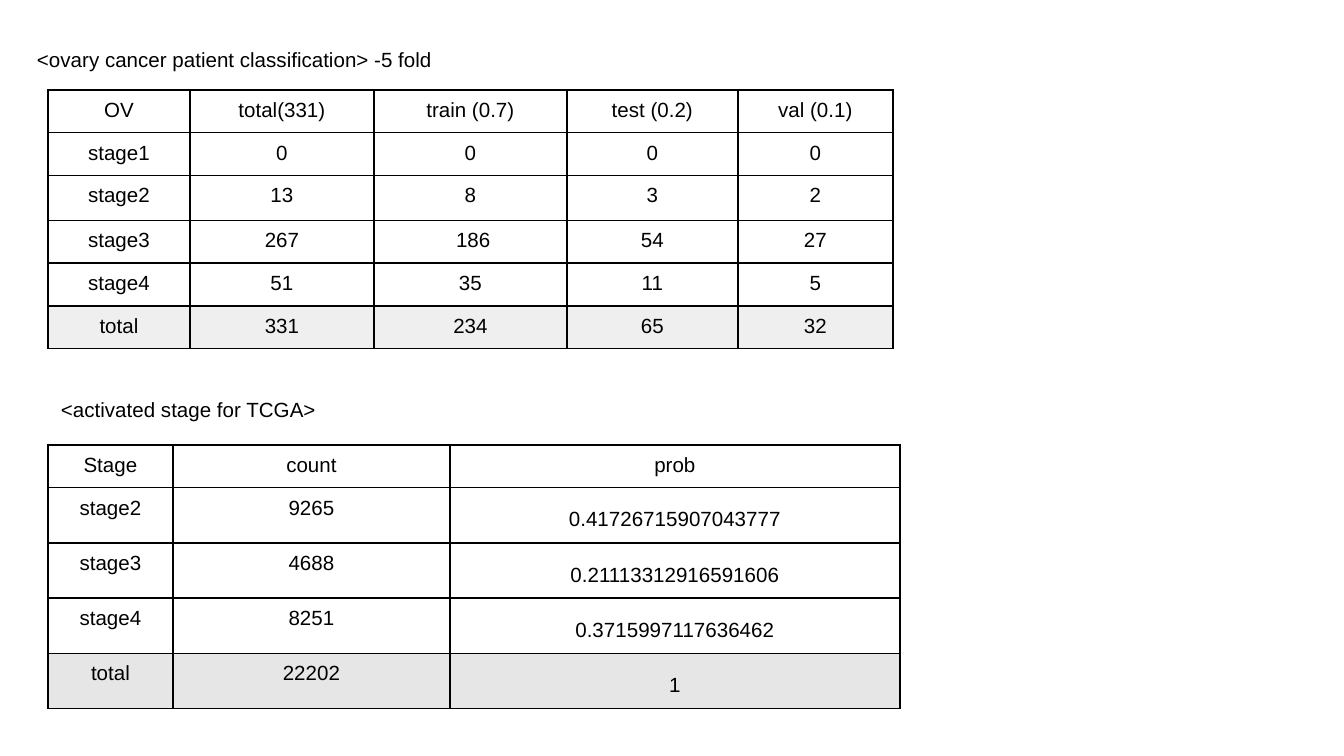
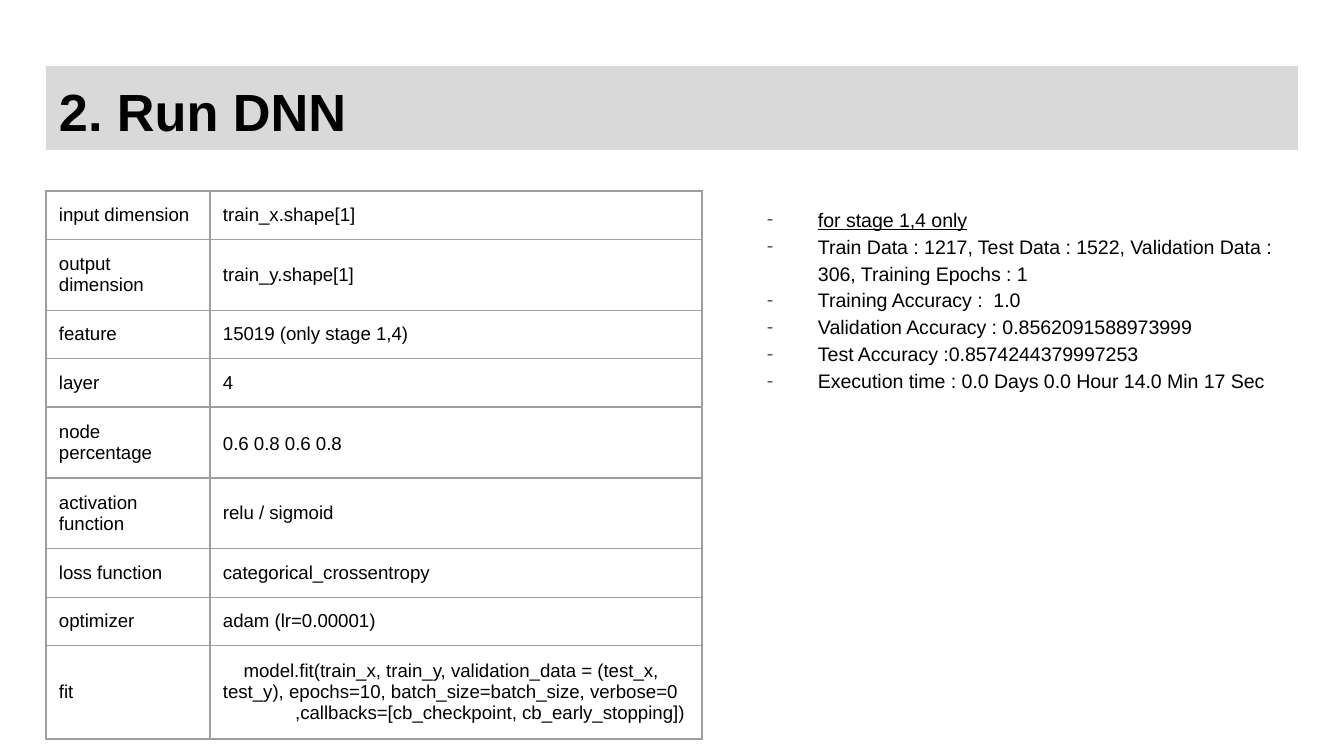
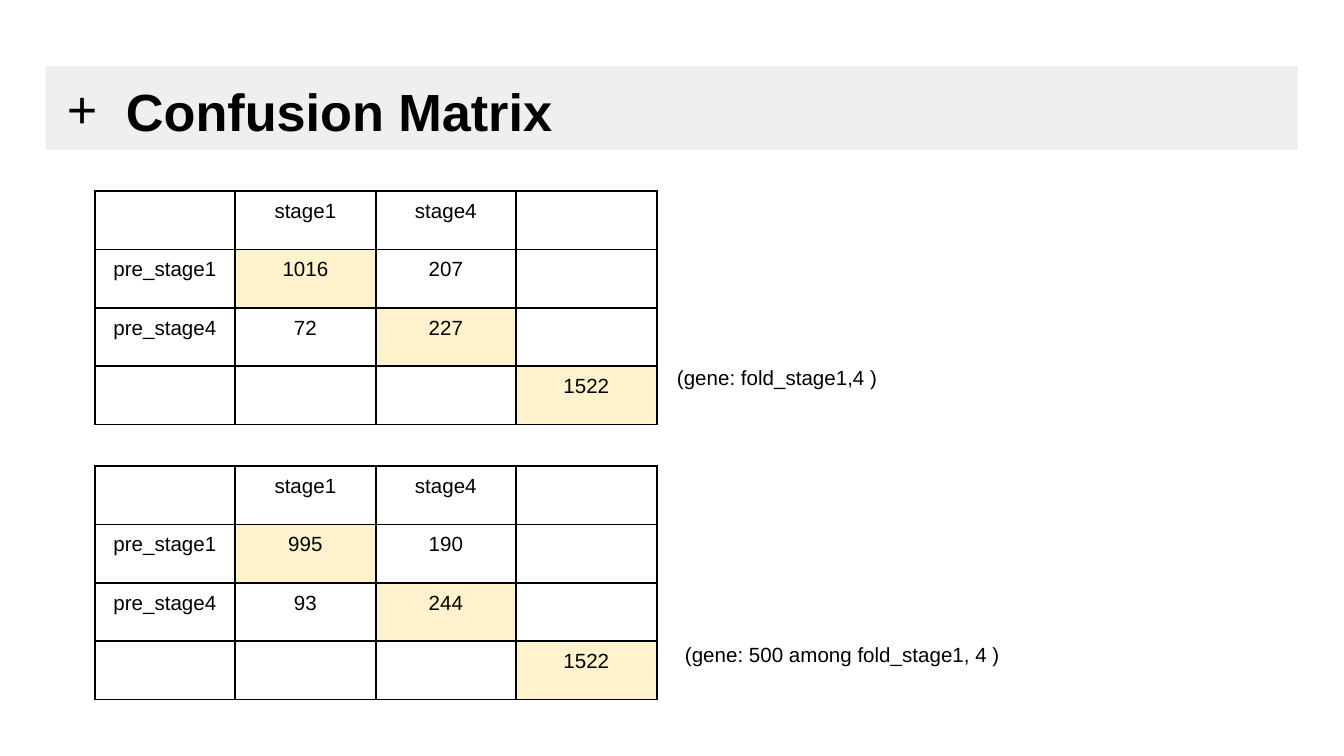
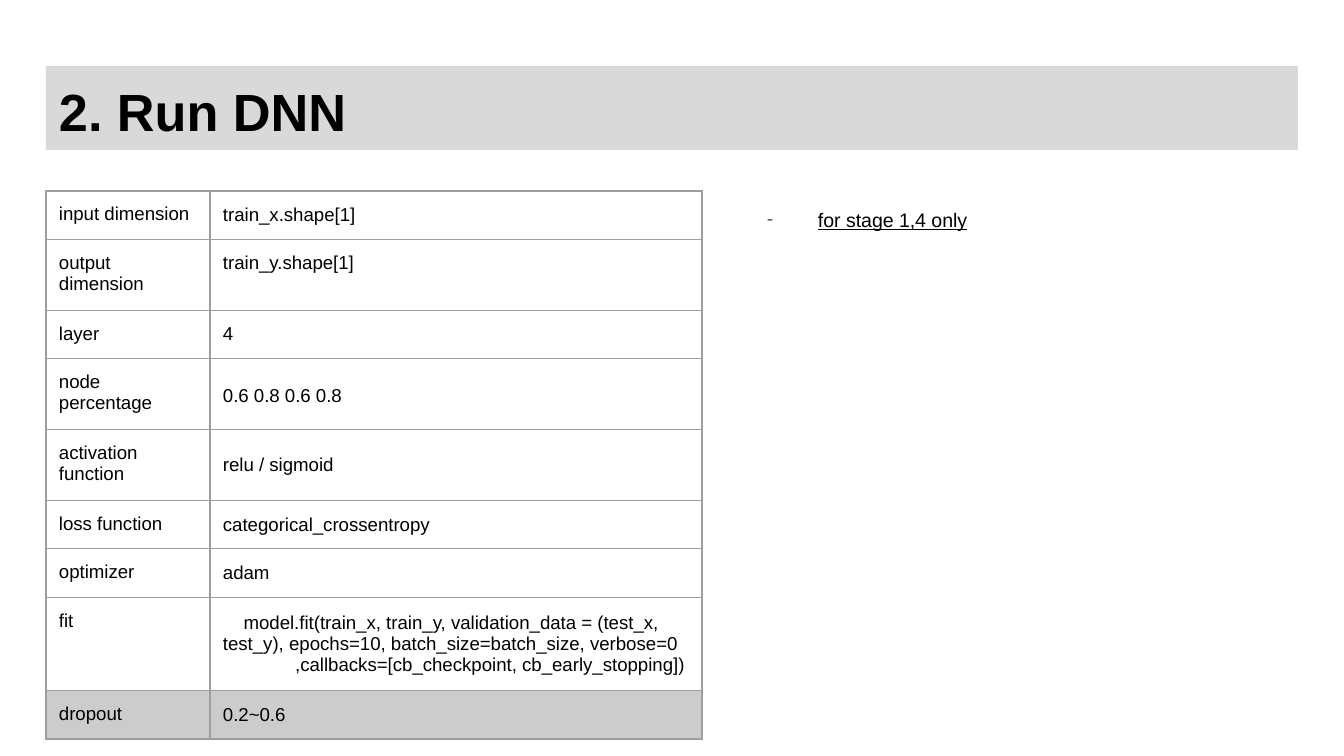
from dataclasses import dataclass

from lxml import etree
from pptx import Presentation
from pptx.dml.color import RGBColor
from pptx.enum import shapes, text
from pptx.oxml import ns
from pptx.util import Emu, Inches, Pt

WIDE, HIGH = 1344, 756
SCALE = Inches(10) / WIDE


def px(n):
    return Emu(round(n * SCALE))


@dataclass(frozen=True)
class Theme:
    font: str = "Arial"
    ink: str = "000000"
    dash: str = "595959"
    rule: str = "9E9E9E"
    band: str = "D9D9D9"
    pale: str = "EFEFEF"
    total: str = "E6E6E6"
    drop: str = "CCCCCC"
    hit: str = "FFF2CC"
    title: float = 28
    body: float = 11
    list: float = 10.5
    small: float = 10
    lead: float = 1.15
    loose: float = 1.51
    inset: int = 13
    tight: int = 9


THEME = Theme()
TOP, MID = text.MSO_ANCHOR.TOP, text.MSO_ANCHOR.MIDDLE


def add(parent, tag, **attrs):
    return etree.SubElement(parent, ns.qn(tag), attrs)


def bullet(para, mark, color, size, indent, hang):
    props = para._p.get_or_add_pPr()
    props.set("marL", str(px(indent)))
    props.set("indent", str(-px(hang)))
    add(add(props, "a:buClr"), "a:srgbClr", val=color)
    add(props, "a:buSzPts", val=str(int(size * 100)))
    add(props, "a:buFont", typeface=THEME.font)
    add(props, "a:buChar", char=mark)


def border(cell, color, width):
    props = cell._tc.get_or_add_tcPr()
    for side in ("a:lnL", "a:lnR", "a:lnT", "a:lnB"):
        line = add(props, side, w=str(Pt(width)))
        add(add(line, "a:solidFill"), "a:srgbClr", val=color)


def paint(fill, color):
    if color:
        fill.solid()
        fill.fore_color.rgb = RGBColor.from_string(color)
    else:
        fill.background()


class Deck:
    def __init__(self, theme):
        self.theme = theme
        self.prs = Presentation()
        self.prs.slide_width, self.prs.slide_height = px(WIDE), px(HIGH)
        self.slide = None

    def page(self):
        self.slide = self.prs.slides.add_slide(self.prs.slide_layouts[6])

    def style(self, para, size, bold=False, lead=None, align=None):
        if lead:
            para.line_spacing = lead
        para.alignment = align
        for run in para.runs:
            run.font.name = self.theme.font
            run.font.size = Pt(size)
            run.font.bold = bold
            run.font.color.rgb = RGBColor.from_string(self.theme.ink)

    def frame(self, shape, words, anchor=TOP):
        box = shape.text_frame
        box.word_wrap = True
        box.vertical_anchor = anchor
        box.margin_left = box.margin_right = px(self.theme.inset)
        box.margin_top = box.margin_bottom = px(self.theme.inset)
        box.text = words
        return box.paragraphs

    def title(self, words, color, mark=None):
        t = self.theme
        band = self.slide.shapes.add_shape(
            shapes.MSO_SHAPE.RECTANGLE, px(46), px(66), px(1252), px(84))
        band.shadow.inherit = False
        paint(band.fill, color)
        band.line.fill.background()
        para = self.frame(band, words)[0]
        if mark:
            bullet(para, mark, t.ink, t.title, 67, 59)
        self.style(para, t.title, bold=True, align=text.PP_ALIGN.LEFT)

    def box(self, x, y, w, h, words, anchor=TOP):
        shape = self.slide.shapes.add_textbox(px(x), px(y), px(w), px(h))
        return self.frame(shape, words, anchor)

    def label(self, x, y, w, words, anchor=TOP):
        para = self.box(x, y, w, 59, words, anchor)[0]
        self.style(para, self.theme.body, lead=self.theme.lead)

    def notes(self, lines):
        """Dashed list at the right, its first line underlined."""
        t = self.theme
        paras = self.box(738, 191, 560, 507, "\n".join(lines))
        for para in paras:
            bullet(para, "-", t.dash, t.list, 67, 51)
            self.style(para, t.list, lead=t.lead)
        paras[0].runs[0].font.underline = True

    def table(self, x, y, cols, heights, rows, size, pad, line, width,
              align=None, fills=None, leads=None, anchors=None):
        """fills, leads and anchors map (row, column) to a value."""
        fills, leads, anchors = fills or {}, leads or {}, anchors or {}
        grid = self.slide.shapes.add_table(
            len(rows), len(cols), px(x), px(y),
            px(sum(cols)), px(sum(heights))).table
        grid.first_row = grid.horz_banding = False
        for col, w in zip(grid.columns, cols):
            col.width = px(w)
        for row, h in zip(grid.rows, heights):
            row.height = px(h)
        for r, row in enumerate(rows):
            for c, words in enumerate(row):
                cell = grid.cell(r, c)
                border(cell, line, width)
                paint(cell.fill, fills.get((r, c)))
                cell.margin_left = cell.margin_right = px(pad)
                cell.margin_top = cell.margin_bottom = px(pad)
                cell.vertical_anchor = anchors.get((r, c), TOP)
                cell.text_frame.text = words
                for para in cell.text_frame.paragraphs:
                    self.style(para, size, lead=leads.get((r, c)), align=align)

    def counts(self, x, y, cols, heights, rows, **maps):
        """Centred table with black rules."""
        t = self.theme
        self.table(x, y, cols, heights, rows, t.body, t.tight, t.ink, 1,
                   align=text.PP_ALIGN.CENTER, **maps)

    def setup(self, heights, rows, **maps):
        """Two-column table of model settings with grey rules."""
        t = self.theme
        nodes = [row[0] for row in rows].index("node percentage")
        self.table(46, 191, [164, 492], heights, rows, t.small, t.inset,
                   t.rule, 0.75, leads={(nodes, 1): t.lead}, **maps)

    def matrix(self, y, first, second, total):
        rows = [["", "stage1", "stage4", ""],
                ["pre_stage1", *first, ""],
                ["pre_stage4", *second, ""],
                ["", "", "", total]]
        self.counts(95, y, [140, 141, 140, 141], [56] * 4, rows,
                    fills={(i, i): self.theme.hit for i in (1, 2, 3)})


IN = ["input dimension", "train_x.shape[1]"]
OUT = ["output dimension", "train_y.shape[1]"]
NET = [["layer", "4"],
       ["node percentage", "0.6 0.8 0.6 0.8"],
       ["activation function", "relu / sigmoid"],
       ["loss function", "categorical_crossentropy"]]
FIT = ["fit",
       "    model.fit(train_x, train_y, validation_data = (test_x, test_y), "
       "epochs=10, batch_size=batch_size, verbose=0\n"
       "              ,callbacks=[cb_checkpoint, cb_early_stopping])"]
SCOPE = "for stage 1,4 only"


def folds(deck):
    t = deck.theme
    deck.page()
    deck.label(48, 378, 441, "<activated stage for TCGA>", MID)
    deck.label(24, 30, 441, "<ovary cancer patient classification> -5 fold")
    deck.counts(
        48, 90, [142, 184, 193, 171, 155], [41, 41, 45, 41, 41, 41],
        [["OV", "total(331)", "train (0.7)", "test (0.2)", "val (0.1)"],
         ["stage1", "0", "0", "0", "0"],
         ["stage2", "13", "8", "3", "2"],
         ["stage3", "267", " 186", "54", "27"],
         ["stage4", "51", "35", "11", "5"],
         ["total", "331", "234", "65", "32"]],
        fills={(5, c): t.pale for c in range(5)})
    deck.counts(
        48, 445, [125, 277, 450], [41] + [53] * 4,
        [["Stage", "count", "prob"],
         ["stage2", "9265", "0.41726715907043777"],
         ["stage3", "4688", "0.21113312916591606"],
         ["stage4", "8251", "0.3715997117636462"],
         ["total", "22202", "1"]],
        fills={(4, c): t.total for c in range(3)},
        leads={(r, 2): t.loose for r in range(1, 5)})


def train(deck):
    deck.page()
    deck.title("2. Run DNN", deck.theme.band)
    deck.notes([
        SCOPE,
        "Train Data : 1217, Test Data : 1522, Validation Data : 306, "
        "Training Epochs : 1",
        "Training Accuracy :  1.0",
        "Validation Accuracy : 0.8562091588973999",
        "Test Accuracy :0.8574244379997253",
        "Execution time : 0.0 Days 0.0 Hour 14.0 Min 17 Sec"])
    rows = [IN, OUT, ["feature", "15019 (only stage 1,4)"], *NET,
            ["optimizer", "adam (lr=0.00001)"], FIT]
    deck.setup([48, 68, 48, 47, 69, 68, 48, 48, 89], rows,
               anchors={(r, c): MID for r in range(9) for c in range(2)})


def confusion(deck):
    deck.page()
    deck.title("Confusion Matrix", deck.theme.pale, mark="+")
    deck.label(664, 348, 340, "(gene: fold_stage1,4 )")
    deck.matrix(466, ["995", "190"], ["93", "244"], "1522")
    deck.label(672, 625, 394, "(gene: 500 among fold_stage1, 4 )")
    deck.matrix(191, ["1016", "207"], ["72", "227"], "1522")


def dropout(deck):
    deck.page()
    deck.title("2. Run DNN", deck.theme.band)
    deck.notes([SCOPE])
    rows = [IN, OUT, *NET, ["optimizer", "adam"], FIT, ["dropout", "0.2~0.6"]]
    deck.setup([48, 68, 48, 68, 69, 48, 47, 90, 47], rows,
               fills={(8, c): deck.theme.drop for c in range(2)},
               anchors={(r, 1): MID for r in range(9) if r != 1})


def main():
    deck = Deck(THEME)
    for build in (folds, train, confusion, dropout):
        build(deck)
    deck.prs.save("out.pptx")


if __name__ == "__main__":
    main()
